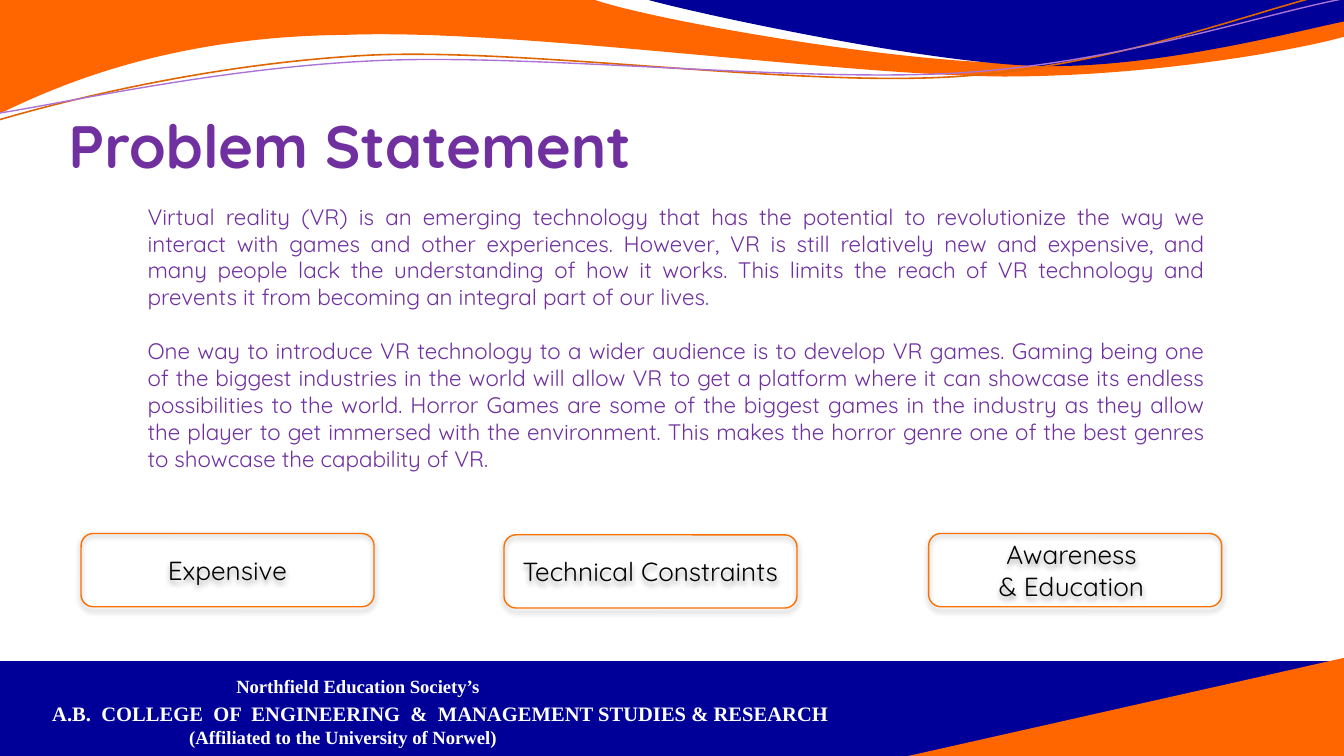
from dataclasses import dataclass

from lxml.etree import Element, SubElement
from pptx import Presentation
from pptx.dml.color import RGBColor
from pptx.enum.shapes import MSO_SHAPE as Shape
from pptx.enum.text import MSO_ANCHOR as Anchor, PP_ALIGN as Align
from pptx.oxml.ns import qn
from pptx.util import Emu, Inches, Pt

COLS, ROWS = 100, 56.25  # square grid cells over the whole slide
CELL = Inches(10) / COLS
ORANGE, NAVY, PURPLE, WHITE = "FF6600", "000099", "7030A0", "FFFFFF"
SANS, SERIF = "Quicksand", "Times New Roman"


@dataclass
class Box:
    col: float
    row: float
    cols: float
    rows: float


@dataclass
class Wave:
    """A start point, then steps: 2 numbers for a line, 6 for a cubic curve."""
    start: tuple
    steps: list
    fill: str | None = None
    line: str | None = None
    width: float = 0


@dataclass
class Para:
    text: str
    size: float
    indent: float = 0
    before: float = 0


WAVES = [
    Wave((-0.1, 0), [
        (44, -0.1), (47.6, 1.3, 66.4, 4.7, 75.8, 4.7),
        (85.3, 4.7, 95.8, 1.9, 100, 0.7), (100.1, 2.7),
        (98.3, 3.3, 87, 5.7, 74.6, 5.7), (62.2, 5.6, 38.2, 2.1, 25.7, 2.6),
        (12.9, 2.7, 4.6, 6.2, -0.1, 8.5)], fill=ORANGE),
    Wave((47.9, -0.1), [
        (50.9, 0.8, 68.2, 4.6, 76.9, 4.9), (85.6, 5.2, 96.1, 2.4, 100, 1.6),
        (100, 0)], fill=NAVY),
    Wave((0, 8.9), [
        (4.8, 7.5, 15.8, 4.7, 27.7, 4.1), (39.6, 3.6, 59.2, 6.5, 71.2, 5.7),
        (83.3, 4.9, 93.9, 0.6, 99.8, -0.7)], line="DF6500", width=0.85),
    Wave((0, 8.4), [
        (4.7, 7.7, 16.4, 5, 28.3, 4.5), (40.3, 4, 59.7, 6.2, 71.7, 5.4),
        (83.6, 4.6, 94.1, 1, 100, -0.1)], line="AB73D5", width=0.75),
]

FOOTER = [
    Para("Northfield Education Society’s", 10, indent=16.6),
    Para("A.B.  COLLEGE  OF  ENGINEERING  &  MANAGEMENT STUDIES & RESEARCH",
         11, indent=2.9, before=1.8),
    Para("(Affiliated to the University of Norwel)", 10, indent=13.1, before=0.4),
]

BODY = [
    Para("Virtual reality (VR) is an emerging technology that has the potential "
         "to revolutionize the way we interact with games and other experiences. "
         "However, VR is still relatively new and expensive, and many people lack "
         "the understanding of how it works. This limits the reach of VR technology "
         "and prevents it from becoming an integral part of our lives.", 12),
    Para("One way to introduce VR technology to a wider audience is to develop VR "
         "games. Gaming being one of the biggest industries in the world will allow "
         "VR to get a platform where it can showcase its endless possibilities to "
         "the world. Horror Games are some of the biggest games in the industry as "
         "they allow the player to get immersed with the environment. This makes "
         "the horror genre one of the best genres to showcase the capability of VR.",
         12, before=14.4),
]

CHALLENGES = [
    (Box(6.03, 39.7, 21.8, 5.45), ["Expensive"]),
    (Box(69.1, 39.7, 21.8, 5.45), ["Awareness ", "& Education "]),
    (Box(37.5, 39.8, 21.8, 5.45), ["Technical Constraints"]),
]


def grid(n: float) -> Emu:
    return Emu(round(n * CELL))


def place(box: Box) -> list[Emu]:
    return [grid(n) for n in (box.col, box.row, box.cols, box.rows)]


def rgb(color: str) -> RGBColor:
    return RGBColor.from_string(color)


def paint(sp, fill: str | None = None, line: str | None = None, width: float = 0) -> None:
    sp.shadow.inherit = False
    for part, color in ((sp.fill, fill), (sp.line.fill, line)):
        if color:
            part.solid()
            part.fore_color.rgb = rgb(color)
        else:
            part.background()
    if line:
        sp.line.width = Pt(width)


def bend(sp, steps: list[tuple]) -> None:
    """Turn the straight segments that have control points into cubic curves."""
    for segment, step in zip(list(sp._element.iter(qn("a:lnTo"))), steps):
        if len(step) == 6:
            segment.tag = qn("a:cubicBezTo")
            for i in (0, 1):
                x, y = grid(step[2 * i]) - sp.left, grid(step[2 * i + 1]) - sp.top
                segment.insert(i, Element(qn("a:pt"), x=str(x), y=str(y)))


def draw_wave(shapes, wave: Wave) -> None:
    builder = shapes.build_freeform(*map(grid, wave.start))
    ends = [tuple(map(grid, step[-2:])) for step in wave.steps]
    builder.add_line_segments(ends, close=wave.fill is not None)
    sp = builder.convert_to_shape()
    bend(sp, wave.steps)
    paint(sp, wave.fill, wave.line, wave.width)


def draw_shape(shapes, kind: Shape, box: Box, **look):
    sp = shapes.add_shape(kind, *place(box))
    paint(sp, **look)
    return sp


def write(tf, paras: list[Para], font: str, color: str, align: Align, bold: bool = False) -> None:
    tf.word_wrap = True
    for i, para in enumerate(paras):
        p = tf.paragraphs[0] if i == 0 else tf.add_paragraph()
        p.alignment, p.space_before = align, Pt(para.before)
        if para.indent:
            p._p.get_or_add_pPr().set("marL", str(grid(para.indent)))
        r = p.add_run()
        r.text = para.text
        r.font.color.rgb = rgb(color)
        for name, value in {"name": font, "size": Pt(para.size), "bold": bold}.items():
            setattr(r.font, name, value)


def add_text(shapes, box: Box, paras: list[Para], **look) -> None:
    write(shapes.add_textbox(*place(box)).text_frame, paras, SANS, PURPLE, **look)


def add_soft_shadow(sp) -> None:
    effects = sp._element.spPr.find(qn("a:effectLst"))
    shadow = SubElement(effects, qn("a:outerShdw"), blurRad=str(Pt(3.1)),
                        dist=str(Pt(1.6)), dir="5400000", rotWithShape="0")
    color = SubElement(shadow, qn("a:srgbClr"), val="000000")
    SubElement(color, qn("a:alpha"), val="38000")


def draw_challenge(shapes, box: Box, lines: list[str]) -> None:
    sp = draw_shape(shapes, Shape.ROUNDED_RECTANGLE, box, line="FA7100", width=0.75)
    add_soft_shadow(sp)
    sp.text_frame.vertical_anchor = Anchor.MIDDLE
    write(sp.text_frame, [Para(s, 14) for s in lines], SANS, "000000", Align.CENTER)


def draw_footer(shapes) -> None:
    sp = draw_shape(shapes, Shape.RECTANGLE, Box(0, 49.2, COLS, 7.1), fill=NAVY)
    sp.text_frame.vertical_anchor = Anchor.TOP
    sp.text_frame.margin_top = grid(1)
    write(sp.text_frame, FOOTER, SERIF, WHITE, Align.LEFT, bold=True)
    corner = draw_shape(shapes, Shape.ISOSCELES_TRIANGLE, Box(66.7, 48.95, 33.3, 7.5), fill=ORANGE)
    corner.adjustments[0] = 1


def main() -> None:
    prs = Presentation()
    prs.slide_width, prs.slide_height = grid(COLS), grid(ROWS)
    shapes = prs.slides.add_slide(prs.slide_layouts[6]).shapes
    for wave in WAVES:
        draw_wave(shapes, wave)
    draw_footer(shapes)
    add_text(shapes, Box(4.1, 7.6, 74.1, 6.4), [Para("Problem Statement", 32)],
             align=Align.LEFT, bold=True)
    add_text(shapes, Box(10, 14.6, 80.7, 21.2), BODY, align=Align.JUSTIFY)
    for box, lines in CHALLENGES:
        draw_challenge(shapes, box, lines)
    prs.save("out.pptx")


if __name__ == "__main__":
    main()
